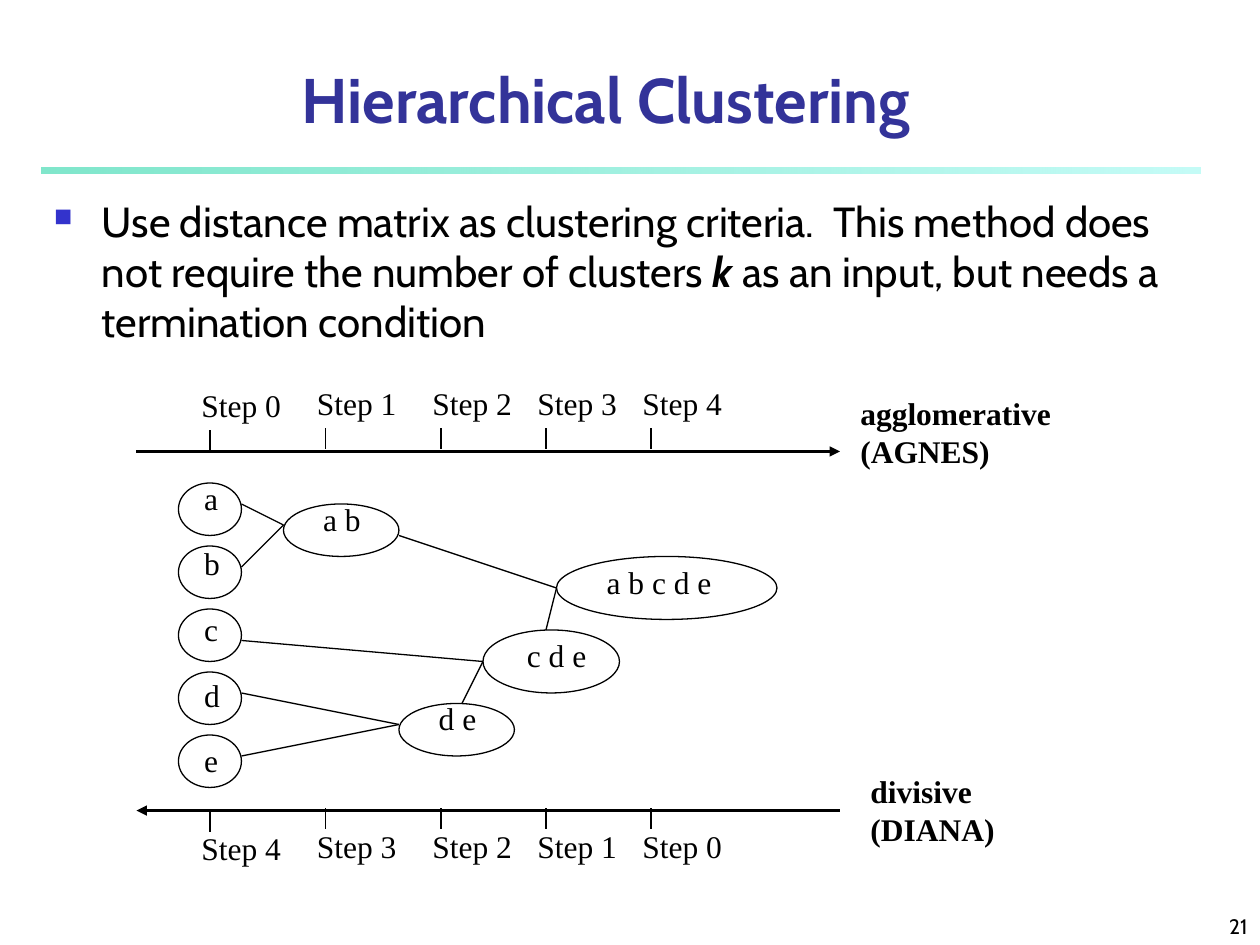
from lxml import etree
from pptx import Presentation
from pptx.dml.color import RGBColor
from pptx.enum.shapes import MSO_CONNECTOR, MSO_SHAPE
from pptx.enum.text import MSO_ANCHOR, PP_ALIGN
from pptx.oxml.ns import qn
from pptx.util import Inches, Pt

OVAL, BAR = MSO_SHAPE.OVAL, MSO_SHAPE.RECTANGLE
STRAIGHT = MSO_CONNECTOR.STRAIGHT
TOP, MIDDLE, BOTTOM = MSO_ANCHOR.TOP, MSO_ANCHOR.MIDDLE, MSO_ANCHOR.BOTTOM
LEFT, CENTER, RIGHT = PP_ALIGN.LEFT, PP_ALIGN.CENTER, PP_ALIGN.RIGHT

BLACK, INDIGO, BULLET_BLUE = "000000", "333399", "3333CC"
SANS, SERIF = "Cabin", "Times New Roman"
LABEL = {"name": SERIF, "size": Pt(18)}
BODY = {"name": SANS, "size": Pt(24)}
GRID = 12  # diagram grid cells per inch

STEP_COLUMNS = [20, 31, 42, 52, 62]
FIRST_DROP = 0.2  # the first step sits slightly lower than the others
AXIS_START, AXIS_END = 13, 80

# label, ellipse (column, row, columns, rows), label position (column, row)
ITEMS = [(name, (17, 46 + 6 * i, 6, 5), (18.25, 45 + 6.25 * i))
         for i, name in enumerate("abcde")]
CLUSTERS = [
    ("a b", (27, 48, 11, 5), (29.6, 47)),
    ("d e", (38, 67, 11, 5), (40.6, 66)),
    ("c d e", (46, 60, 13, 6), (49, 60)),
    ("a b c d e", (53, 53, 21, 6), (56.6, 53)),
]
# start (column, row), end (column, row)
LINKS = [
    ((23, 48), (27, 50)), ((23, 54), (27, 50)),
    ((23, 66), (38, 69)), ((23, 72), (38, 69)),
    ((23, 61), (46, 63)), ((44, 67), (46, 63)),
    ((38, 51), (53, 56)), ((52, 60), (53, 56)),
]


def cells(*values):
    """Turn grid cells into lengths."""
    return [Inches(value / GRID) for value in values]


def inches(*values):
    return [Inches(value) for value in values]


def color(hex_text):
    return RGBColor.from_string(hex_text)


def add_span(para, text, font, fill=BLACK):
    span = para.add_run()
    span.text = text
    for name, value in font.items():
        setattr(span.font, name, value)
    span.font.color.rgb = color(fill)


def add_text(page, place, lines, font, fill=BLACK, align=LEFT, anchor=TOP, wrap=True):
    """Add a text box with one paragraph a line and return its first paragraph."""
    frame = page.shapes.add_textbox(*place).text_frame
    frame.word_wrap = wrap
    frame.vertical_anchor = anchor
    for index, line in enumerate(lines):
        para = frame.add_paragraph() if index else frame.paragraphs[0]
        para.alignment = align
        add_span(para, line, font, fill)
    return frame.paragraphs[0]


def add_line(page, start, end, width=0.75, arrow=None):
    """Join two grid points; arrow is 'headEnd' (start), 'tailEnd' (end) or None."""
    link = page.shapes.add_connector(STRAIGHT, *cells(*start, *end))
    link.line.width = Pt(width)
    link.line.color.rgb = color(BLACK)
    if arrow:
        etree.SubElement(link.line._get_or_add_ln(), qn("a:" + arrow), type="triangle")
    etree.SubElement(link._element.spPr, qn("a:effectLst"))


def add_node(page, label, ellipse, label_at):
    add_text(page, cells(*label_at, 0.14 * GRID * len(label) + 2, 4.8),
             [label], LABEL, wrap=False)
    oval = page.shapes.add_shape(OVAL, *cells(*ellipse))
    oval.shadow.inherit = False
    oval.fill.background()
    oval.line.color.rgb = color(BLACK)
    oval.line.width = Pt(0.75)


def add_axis(page, row, tick_row, label_row, steps, arrow):
    add_line(page, (AXIS_START, row), (AXIS_END, row), 1.5, arrow)
    for index, (column, step) in enumerate(zip(STEP_COLUMNS, steps)):
        drop = 0 if index else FIRST_DROP
        top = tick_row + drop
        add_line(page, (column, top), (column, top + 2))
        para = add_text(page, cells(column - 2, label_row + drop, 10, 4.8),
                        [f"Step {step}"], LABEL)
        para.space_before = Pt(11.2)


def add_rule(page):
    """Add the translucent gradient bar below the title."""
    bar = page.shapes.add_shape(BAR, *inches(0.33, 1.33, 9.2, 0.05))
    bar.shadow.inherit = False
    bar.line.fill.background()
    bar.fill.gradient()
    bar.fill.gradient_angle = 0
    stops = [("00CE98", 50), ("8FF9EF", 52)]
    for stop, (hex_text, _) in zip(bar.fill.gradient_stops, stops):
        stop.color.rgb = color(hex_text)
    for tone, (_, opacity) in zip(bar._element.spPr.iter(qn("a:srgbClr")), stops):
        etree.SubElement(tone, qn("a:alpha"), val=str(opacity * 1000))


def add_bullet(para):
    props = para._p.get_or_add_pPr()
    props.set("marL", str(Inches(0.38)))
    props.set("indent", str(-Inches(0.38)))
    tint = etree.SubElement(props, qn("a:buClr"))
    etree.SubElement(tint, qn("a:srgbClr"), val=BULLET_BLUE)
    etree.SubElement(props, qn("a:buSzPct"), val="60000")
    etree.SubElement(props, qn("a:buChar"), char="■")


def add_body(page):
    para = add_text(
        page, inches(0.33, 1.5, 9.08, 1.33),
        ["Use distance matrix as clustering criteria.  This method does not "
         "require the number of clusters "], BODY)
    add_span(para, "k", BODY | {"bold": True, "italic": True})
    add_span(para, " as an input, but needs a termination condition", BODY)
    para.space_before = Pt(15)
    add_bullet(para)


def main():
    deck = Presentation()
    deck.slide_width, deck.slide_height = inches(10, 7.5)
    page = deck.slides.add_slide(deck.slide_layouts[6])

    add_rule(page)
    add_text(page, inches(0.82, 0.54, 7.98, 0.48), ["Hierarchical Clustering"],
             {"name": SANS, "size": Pt(36), "bold": True}, INDIGO, CENTER, MIDDLE)
    add_body(page)

    add_axis(page, 43, 40.8, 36, range(5), "tailEnd")
    for node in ITEMS + CLUSTERS:
        add_node(page, *node)
    add_axis(page, 77.2, 77, 78.2, reversed(range(5)), "headEnd")
    for start, end in LINKS:
        add_line(page, start, end)

    heading = LABEL | {"bold": True}
    add_text(page, inches(6.73, 3.08, 1.8, 0.7), ["agglomerative", "(AGNES)"], heading)
    add_text(page, inches(6.81, 6.08, 1.3, 0.7), ["divisive", "(DIANA)"], heading)
    add_text(page, inches(7.92, 7.08, 2.08, 0.42), ["21"],
             {"name": SANS, "size": Pt(12)}, align=RIGHT, anchor=BOTTOM)

    deck.save("out.pptx")


if __name__ == "__main__":
    main()
